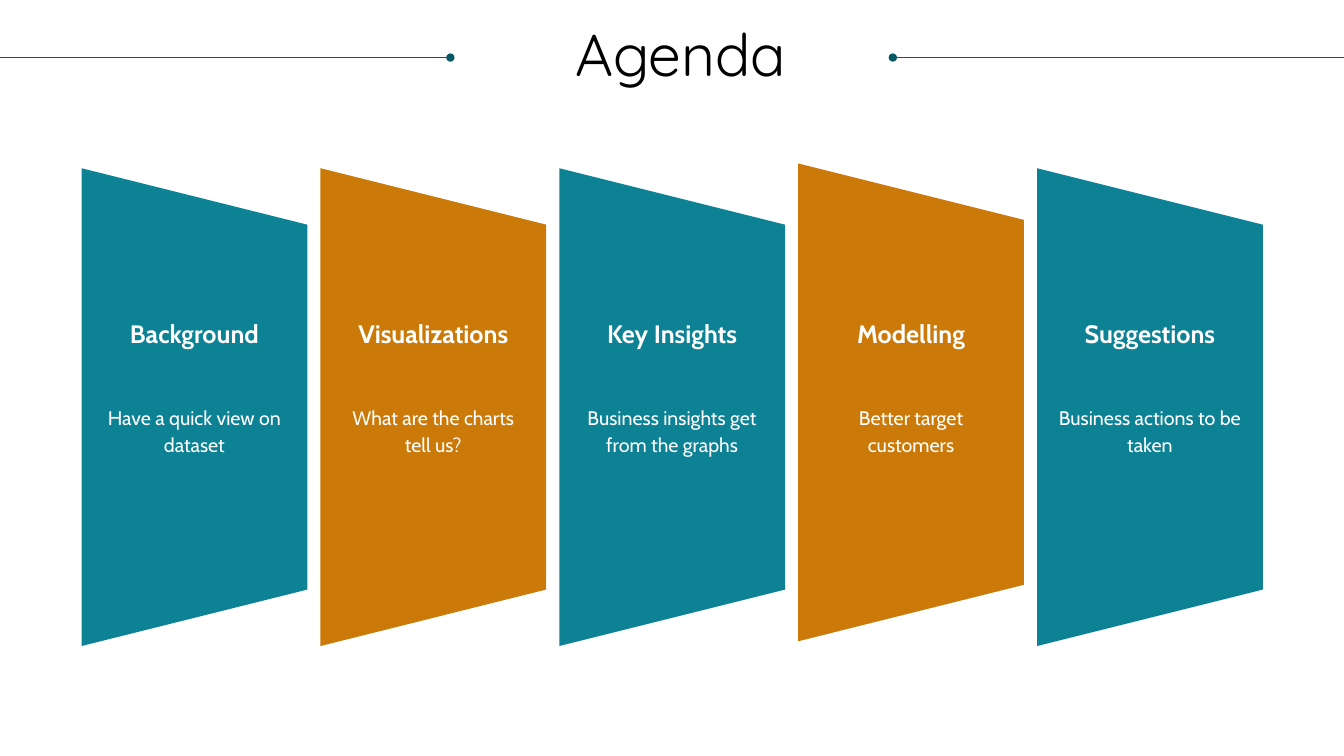
from lxml import etree
from pptx import Presentation
from pptx import util as u
from pptx.dml.color import RGBColor
from pptx.enum import shapes, text
from pptx.oxml import ns

TITLE = "Agenda"
TEAL, GOLD, DARK = "0D8295", "CB7A09", "085764"
# heading, lines of detail, vertical shift of the panel
TOPICS = [
    ("Background", ["Have a quick view on dataset"], 0),
    ("Visualizations", ["What are the charts", "tell us?"], 0),
    ("Key Insights", ["Business insights get from the graphs"], 0),
    ("Modelling", ["Better target customers"], -0.12),
    ("Suggestions", ["Business actions to be taken"], 0),
]
RULES = [(33.87, 22.5), (0, 11.35)]  # each ends in a dot
RULE_Y = 1.45
FIRST, PITCH, MID = 4.9, 6.02, 10.26
LONG, DEEP = 12.04, 5.69

deck = Presentation()
deck.slide_width, deck.slide_height = u.Cm(33.87), u.Cm(19.05)
slide = deck.slides.add_slide(deck.slide_layouts[6])


def color(code):
    return RGBColor.from_string(code)


def write(lines, mid, top, width, height, size, font="Cabin", ink="FFFFFF",
          bold=False, space=None, pad=None):
    """Add a centred text box around the x position mid."""
    box = slide.shapes.add_textbox(
        u.Cm(mid - width / 2), u.Cm(top), u.Cm(width), u.Cm(height))
    frame = box.text_frame
    frame.word_wrap = True
    if pad is not None:
        frame.margin_left = frame.margin_right = u.Cm(pad)
        frame.margin_top = frame.margin_bottom = u.Cm(pad)
    frame.text = "\n".join(lines)
    for para in frame.paragraphs:
        para.alignment = text.PP_ALIGN.CENTER
        para.line_spacing = space
        face = para.font
        face.name, face.size, face.bold = font, u.Pt(size), bold
        face.color.rgb = color(ink)


def rule(start, end):
    """Draw a level line with a dot at its end."""
    line = slide.shapes.add_connector(
        shapes.MSO_CONNECTOR.STRAIGHT,
        u.Cm(start), u.Cm(RULE_Y), u.Cm(end), u.Cm(RULE_Y))
    line.line.color.rgb = color(DARK)
    line.line.width = u.Pt(0.5)
    etree.SubElement(line.line._get_or_add_ln(), ns.qn("a:tailEnd"), type="oval")
    etree.SubElement(line._element.spPr, ns.qn("a:effectLst"))


def panel(mid, y, fill):
    shape = slide.shapes.add_shape(
        shapes.MSO_SHAPE.TRAPEZOID, u.Cm(mid - LONG / 2), u.Cm(y - DEEP / 2),
        u.Cm(LONG), u.Cm(DEEP))
    shape.rotation = 90
    shape.shadow.inherit = False
    shape.fill.solid()
    shape.fill.fore_color.rgb = color(fill)
    shape.line.fill.background()


for start, end in RULES:
    rule(start, end)

for i, (head, detail, shift) in enumerate(TOPICS):
    mid = FIRST + i * PITCH
    panel(mid, MID + shift, GOLD if i % 2 else TEAL)
    write([head], mid, 8.03, 3.85, 0.76, 18, bold=True, pad=0)
    write(detail, mid, 10.16, 4.86, 1.3, 14, space=u.Pt(19), pad=0)

write([TITLE], 17.16, 0.53, 29.64, 2.36, 42, font="Quicksand", ink="000000",
      space=0.9)

deck.save("out.pptx")
